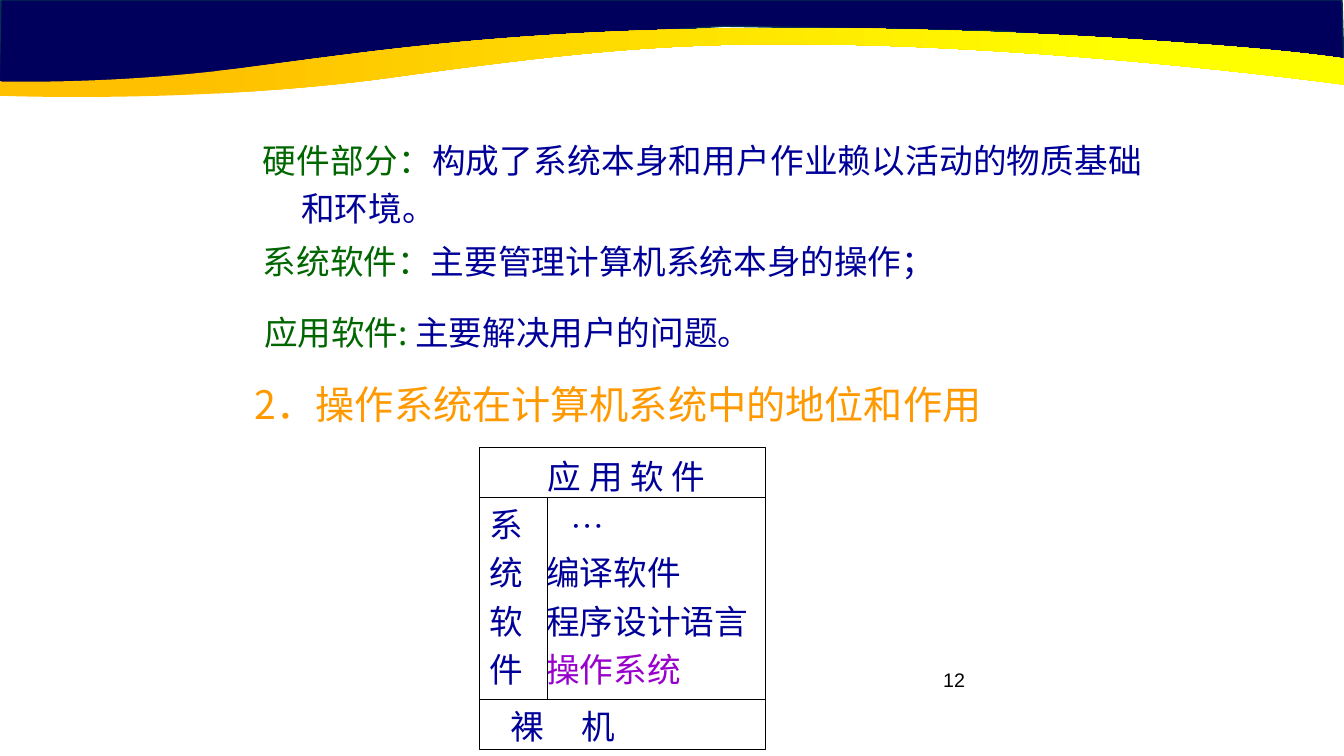
from lxml import etree
from pptx import Presentation
from pptx import util as u
from pptx.dml.color import RGBColor
from pptx.enum import shapes, text
from pptx.oxml import ns

COLORS = {
    "white": "FFFFFF", "black": "000000", "green": "006600", "blue": "000099",
    "orange": "FF9900", "purple": "9900CC", "navy": "00005C", "edge": "05304F",
    "gold": "FFC000", "yellow": "FFFF00",
}
CJK = "Noto Sans CJK SC"
SERIF = "Times New Roman"
STATEMENTS = [
    {"box": (2.51, 1.26, 8.92, 1.06), "size": 24, "hanging": 0.38,
     "align": text.PP_ALIGN.JUSTIFY,
     "runs": [("硬件部分：", "green"), ("构成了系统本身和用户作业赖以活动的物质基础和环境。", "blue")]},
    {"box": (2.51, 2.26, 8.83, 0.54), "size": 24,
     "runs": [("系统软件：", "green"), ("主要管理计算机系统本身的操作；", "blue")]},
    {"box": (2.52, 2.97, 9.08, 0.54), "size": 24,
     "runs": [("应用软件: ", "green"), ("主要解决用户的问题。", "blue")]},
    {"box": (2.43, 3.63, 9.17, 0.59), "size": 28,
     "runs": [("2．操作系统在计算机系统中的地位和作用", "orange")]},
]
PAGE_NUMBER = {"box": (7.17, 6.58, 2.5, 0.52), "size": 14, "font": "Arial", "spacing": 1.0,
               "align": text.PP_ALIGN.RIGHT, "runs": [("12", "black")]}
LAYERS = {"box": (4.76, 4.44, 2.83, 3), "divider": 0.67, "rows": (0.5, 2.5)}
LAYER_LINES = [
    {"runs": [("应 用 软 件", "blue")], "align": text.PP_ALIGN.CENTER},
    {"runs": [("系\t", "blue"), ("···", "blue", SERIF)], "tabs": [0.8]},
    {"runs": [("统\t编译软件", "blue")], "tabs": [0.56]},
    {"runs": [("软\t程序设计语言", "blue")], "tabs": [0.56]},
    {"runs": [("件\t", "blue"), ("操作系统", "purple")], "tabs": [0.56]},
    {"runs": [("\t裸\t机", "blue")], "tabs": [0.21, 0.91], "spacing": 1.4},
]
BANNER_START = (0.01, 0)
BANNER = [[(-0.01, 0.92)], [(1.9, 0.92)], [(4.78, 0.42)], [(7.18, 0.26)],
          [(9.96, 0.31)], [(12.26, 0.55)], [(13.33, 0.68)], [(13.31, 0)]]
RIBBON_START = (7.72, 0.28)
RIBBON = [
    [(8.09, 0.28), (8.47, 0.28), (8.88, 0.29)],
    [(10.25, 0.32), (11.12, 0.38), (11.79, 0.43)],
    [(12.92, 0.51), (13.3, 0.58), (13.33, 0.58)],
    [(13.33, 0.84)],
    [(13.33, 0.84), (10.14, 0.4), (7.42, 0.44)],
    [(6.42, 0.46), (5.67, 0.52), (3.8, 0.78)],
    [(1.92, 1.03), (-0.01, 0.95), (-0.01, 0.95)],
    [(-0.01, 0.8)],
    [(0.02, 0.81)],
    [(0.25, 0.81), (1.25, 0.83), (2.52, 0.66)],
    [(3.76, 0.5), (5.19, 0.28), (7.72, 0.28)],
]


def rgb(name):
    return RGBColor.from_string(COLORS[name])


def inches(values):
    return [u.Inches(value) for value in values]


def set_attributes(target, values):
    for name, value in values.items():
        setattr(target, name, value)


def set_frame(frame, left, top, right, bottom):
    set_attributes(frame, {
        "word_wrap": True, "vertical_anchor": text.MSO_ANCHOR.TOP,
        "margin_left": u.Inches(left), "margin_top": u.Inches(top),
        "margin_right": u.Inches(right), "margin_bottom": u.Inches(bottom),
    })


def fill_paragraph(paragraph, runs, size, font=CJK, align=text.PP_ALIGN.LEFT,
                   spacing=1.2, tabs=(), hanging=0):
    properties = paragraph._p.get_or_add_pPr()
    if tabs:
        tab_list = etree.SubElement(properties, ns.qn("a:tabLst"))
        for position in tabs:
            etree.SubElement(tab_list, ns.qn("a:tab"), pos=str(u.Inches(position)), algn="l")
    if hanging:
        properties.set("marL", str(u.Inches(hanging)))
        properties.set("indent", str(-u.Inches(hanging)))
    set_attributes(paragraph, {"alignment": align, "line_spacing": spacing})
    for words, color, *special in runs:
        typeface = special[0] if special else font
        run = paragraph.add_run()
        run.text = words
        set_attributes(run.font, {"size": u.Pt(size), "name": typeface})
        run.font.color.rgb = rgb(color)
        etree.SubElement(run._r.get_or_add_rPr(), ns.qn("a:ea"), typeface=typeface)


def add_text(slide, box, runs, size, **layout):
    frame = slide.shapes.add_textbox(*inches(box)).text_frame
    set_frame(frame, 0.1, 0.05, 0.1, 0.05)
    fill_paragraph(frame.paragraphs[0], runs, size, **layout)


def add_line(slide, start, end):
    connector = slide.shapes.add_connector(shapes.MSO_CONNECTOR.STRAIGHT, *inches(start + end))
    connector.line.color.rgb = rgb("black")
    connector.line.width = u.Pt(0.75)
    etree.SubElement(connector._element.spPr, ns.qn("a:effectLst"))


def add_layers(slide):
    left, top, width, height = LAYERS["box"]
    shape = slide.shapes.add_shape(shapes.MSO_SHAPE.RECTANGLE, *inches(LAYERS["box"]))
    shape.shadow.inherit = False
    shape.fill.solid()
    shape.fill.fore_color.rgb = rgb("white")
    shape.line.color.rgb = rgb("black")
    shape.line.width = u.Pt(0.75)
    frame = shape.text_frame
    set_frame(frame, 0.1, 0, 0.02, 0)
    for index, line in enumerate(LAYER_LINES):
        paragraph = frame.add_paragraph() if index else frame.paragraphs[0]
        fill_paragraph(paragraph, size=24, **line)
    upper, lower = (top + row for row in LAYERS["rows"])
    middle = left + LAYERS["divider"]
    add_line(slide, (left, upper), (left + width, upper))
    add_line(slide, (middle, upper), (middle, lower))
    add_line(slide, (left, lower), (left + width, lower))


def add_outline(slide, start, segments):
    points = [start] + [point for segment in segments for point in segment]
    scaled = [(round(x * 1000), round(y * 1000)) for x, y in points]
    builder = slide.shapes.build_freeform(*scaled[0], scale=u.Inches(1) / 1000)
    builder.add_line_segments(scaled[1:], close=True)
    shape = builder.convert_to_shape()
    shape.shadow.inherit = False
    steps = iter(list(shape._element.iter(ns.qn("a:lnTo"))))
    for segment in segments:
        first, *others = [next(steps) for _ in segment]
        if others:
            curve = etree.Element(ns.qn("a:cubicBezTo"))
            first.addprevious(curve)
            for step in [first] + others:
                curve.append(step[0])
                step.getparent().remove(step)
    return shape


def add_header(slide):
    banner = add_outline(slide, BANNER_START, BANNER)
    banner.fill.solid()
    banner.fill.fore_color.rgb = rgb("navy")
    banner.line.color.rgb = rgb("edge")
    banner.line.width = u.Pt(1)
    ribbon = add_outline(slide, RIBBON_START, RIBBON)
    ribbon.line.fill.background()
    ribbon.fill.gradient()
    ribbon.fill.gradient_angle = 0
    for stop, (position, color) in zip(ribbon.fill.gradient_stops,
                                       [(0.14, "gold"), (0.84, "yellow")]):
        stop.position = position
        stop.color.rgb = rgb(color)


def main():
    presentation = Presentation()
    set_attributes(presentation, {"slide_width": u.Inches(13.33), "slide_height": u.Inches(7.5)})
    slide = presentation.slides.add_slide(presentation.slide_layouts[6])
    for block in [PAGE_NUMBER] + STATEMENTS:
        add_text(slide, **block)
    add_layers(slide)
    add_header(slide)
    presentation.save("out.pptx")


if __name__ == "__main__":
    main()
